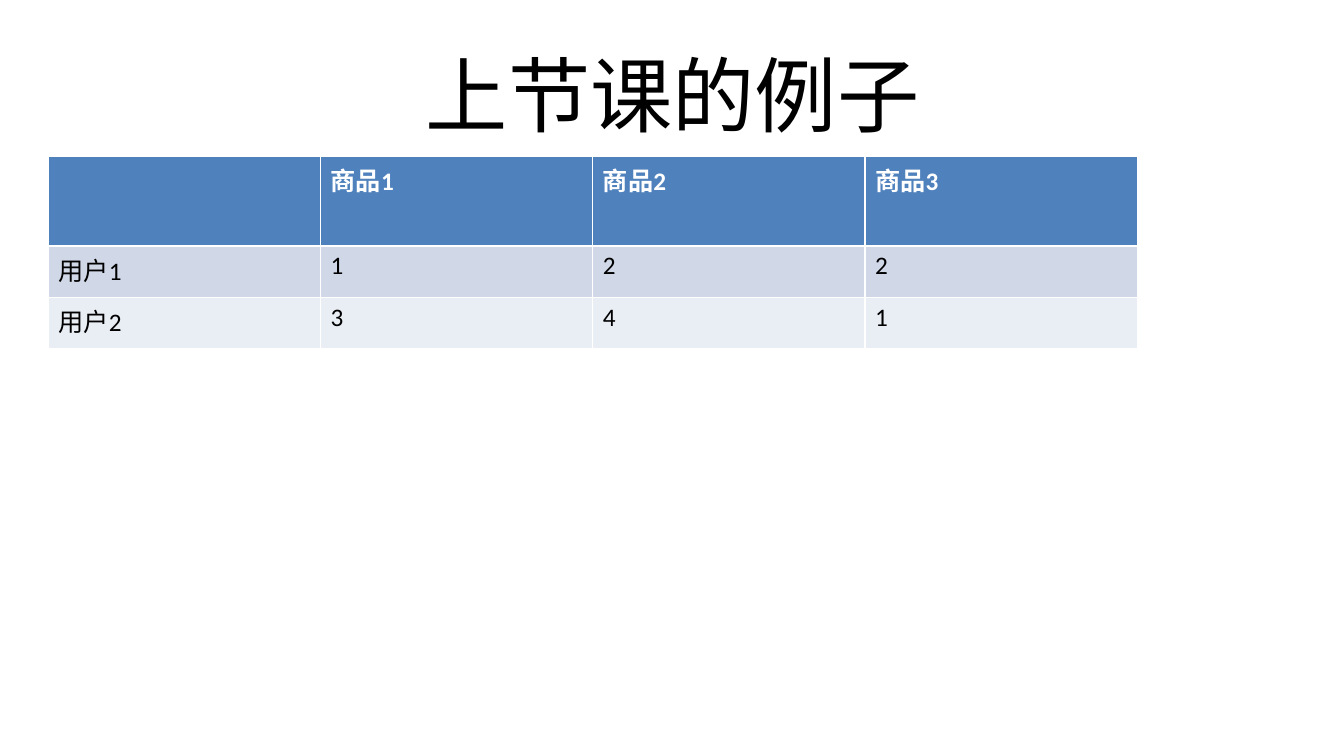
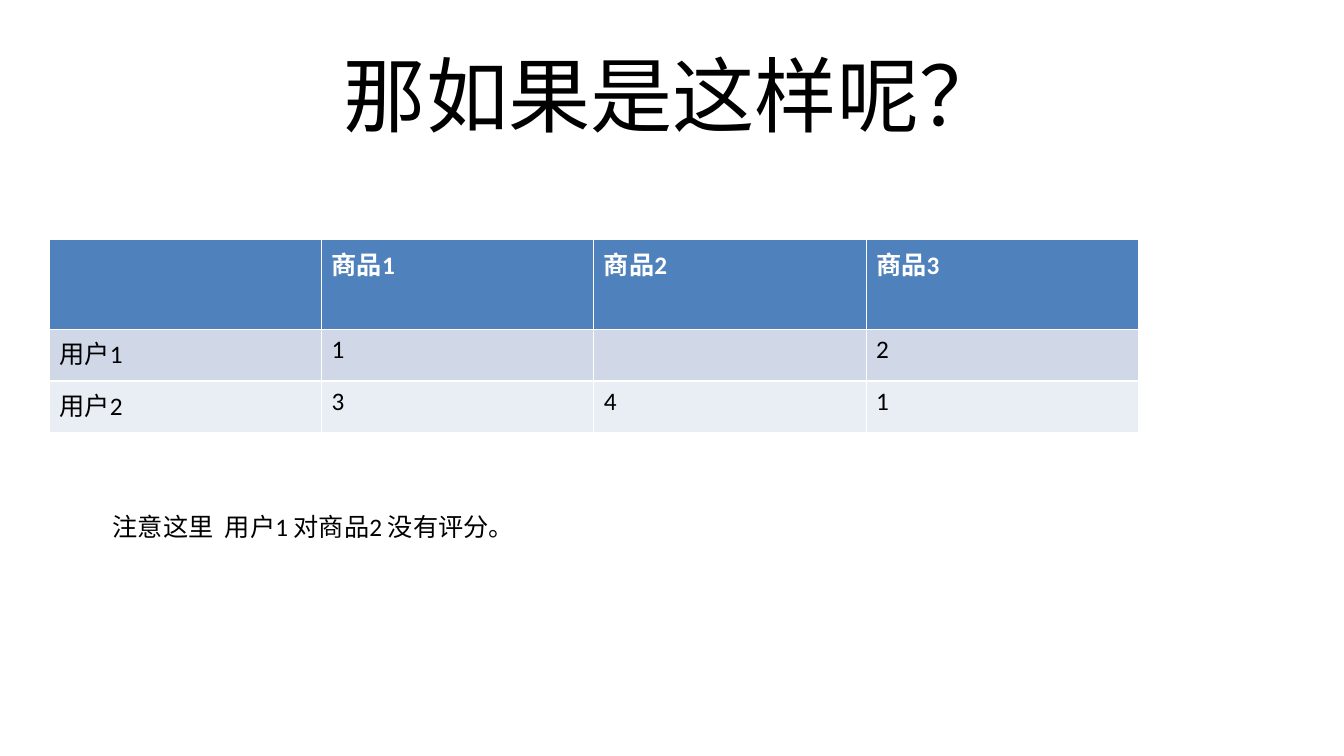
from pptx import Presentation
from pptx.dml.color import RGBColor
from pptx.enum.text import MSO_ANCHOR, PP_ALIGN
from pptx.util import Inches, Pt

BLACK = RGBColor(0x00, 0x00, 0x00)
WHITE = RGBColor(0xFF, 0xFF, 0xFF)
HEADER_BLUE = RGBColor(0x4F, 0x81, 0xBD)
BAND_FILLS = [RGBColor(0xE9, 0xED, 0xF4), RGBColor(0xD0, 0xD8, 0xE8)]
FONT_NAME = "Calibri"
TITLE_SIZE = 58.7
BODY_SIZE = 18
COLUMN_WIDTH = 2.7
ROW_HEIGHTS = [0.89, 0.51, 0.51]

HEADER = ["", "商品1", "商品2", "商品3"]
SLIDES = [
    {
        "title": "上节课的例子",
        "table_position": (0.48, 1.55),
        "ratings": [["用户1", "1", "2", "2"], ["用户2", "3", "4", "1"]],
        "note": None,
    },
    {
        "title": "那如果是这样呢？",
        "table_position": (0.49, 2.38),
        "ratings": [["用户1", "1", "", "2"], ["用户2", "3", "4", "1"]],
        "note": "注意这里  用户1 对商品2 没有评分。",
    },
]


def write_text(text_frame, text, size, color=BLACK, bold=False):
    text_frame.text = text
    paragraph = text_frame.paragraphs[0]
    # An empty cell has no run, so its size is set on the paragraph.
    for font in [paragraph.font] + [run.font for run in paragraph.runs]:
        font.name = FONT_NAME
        font.size = Pt(size)
        font.bold = bold
        font.color.rgb = color


def add_text(slide, text, left, top, width, height, size):
    text_box = slide.shapes.add_textbox(
        Inches(left), Inches(top), Inches(width), Inches(height)
    )
    text_box.text_frame.word_wrap = True
    write_text(text_box.text_frame, text, size)
    return text_box.text_frame


presentation = Presentation()
presentation.slide_width = Inches(13.33)
presentation.slide_height = Inches(7.5)
blank_layout = presentation.slide_layouts[6]

for content in SLIDES:
    slide = presentation.slides.add_slide(blank_layout)

    title = add_text(slide, content["title"], 0.67, 0.3, 12, 1.25, TITLE_SIZE)
    title.vertical_anchor = MSO_ANCHOR.MIDDLE
    title.paragraphs[0].alignment = PP_ALIGN.CENTER

    # The default table style supplies the white borders.
    rows = [HEADER] + content["ratings"]
    left, top = content["table_position"]
    table = slide.shapes.add_table(
        len(rows), len(HEADER), Inches(left), Inches(top),
        Inches(COLUMN_WIDTH * len(HEADER)), Inches(sum(ROW_HEIGHTS)),
    ).table
    for column in table.columns:
        column.width = Inches(COLUMN_WIDTH)
    for row_index, values in enumerate(rows):
        is_header = row_index == 0
        table.rows[row_index].height = Inches(ROW_HEIGHTS[row_index])
        for column_index, value in enumerate(values):
            cell = table.cell(row_index, column_index)
            cell.fill.solid()
            cell.fill.fore_color.rgb = HEADER_BLUE if is_header else BAND_FILLS[row_index % 2]
            write_text(cell.text_frame, value, BODY_SIZE,
                       WHITE if is_header else BLACK, is_header)

    if content["note"]:
        add_text(slide, content["note"], 1.02, 5.02, 7.49, 0.4, BODY_SIZE)

presentation.save("out.pptx")
